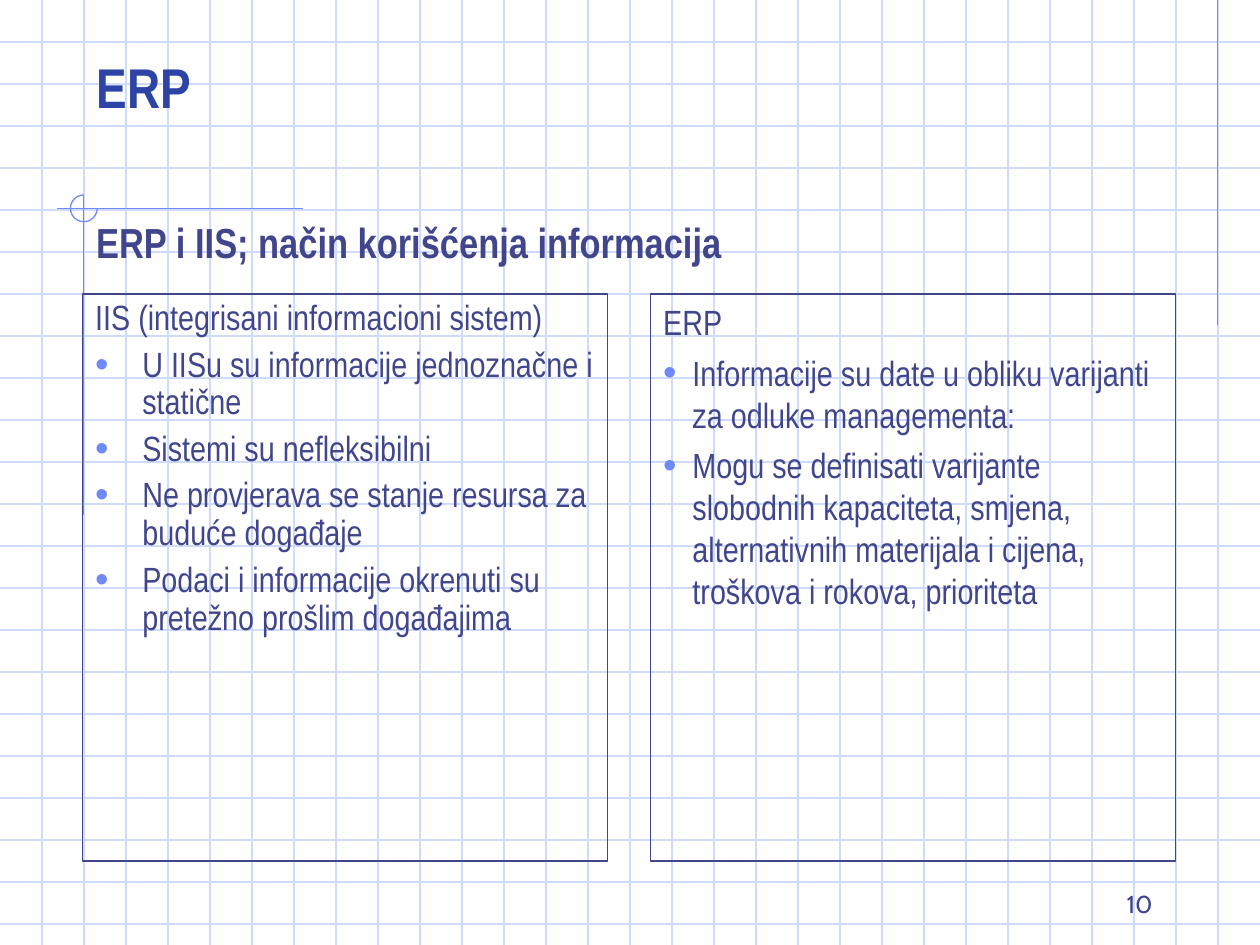
from dataclasses import dataclass

from lxml import etree
from pptx import Presentation
from pptx.dml.color import RGBColor
from pptx.enum.shapes import MSO_CONNECTOR, MSO_SHAPE
from pptx.enum.text import MSO_ANCHOR, MSO_AUTO_SIZE, PP_ALIGN
from pptx.oxml.ns import qn
from pptx.util import Cm, Pt

LINE = MSO_CONNECTOR.STRAIGHT
RECT, ARC = MSO_SHAPE.RECTANGLE, MSO_SHAPE.ARC
TOP, BOTTOM = MSO_ANCHOR.TOP, MSO_ANCHOR.BOTTOM
LEFT, RIGHT = PP_ALIGN.LEFT, PP_ALIGN.RIGHT
FIXED = MSO_AUTO_SIZE.NONE

WIDE, HIGH = 25.4, 19.05
STEP = WIDE / 30


@dataclass(frozen=True)
class Theme:
    grid: str = "CFDBFD"
    accent: str = "6F89F7"
    head: str = "2D44A4"
    ink: str = "40458C"
    face: str = "Arial Narrow"
    num_face: str = "Cabin"
    head_size: int = 32
    sub_size: int = 24
    body_size: int = 20
    num_size: int = 14
    stroke: float = 0.75


def color(code):
    return RGBColor.from_string(code)


class Page:
    def __init__(self, slide, theme):
        self.slide = slide
        self.theme = theme

    def pen(self, shape, code):
        shape.line.color.rgb = color(code)
        shape.line.width = Pt(self.theme.stroke)

    def rule(self, x1, y1, x2, y2, code):
        line = self.slide.shapes.add_connector(
            LINE, Cm(x1), Cm(y1), Cm(x2), Cm(y2))
        self.pen(line, code)
        etree.SubElement(line.element.spPr, qn("a:effectLst"))

    def grid(self):
        for row in range(1, int(HIGH / STEP) + 1):
            self.rule(0, row * STEP, WIDE, row * STEP, self.theme.grid)
        for col in range(1, 30):
            self.rule(col * STEP, 0, col * STEP, HIGH, self.theme.grid)

    def outline(self, kind, x, y, w, h, code):
        shape = self.slide.shapes.add_shape(kind, Cm(x), Cm(y), Cm(w), Cm(h))
        shape.shadow.inherit = False
        shape.fill.background()
        self.pen(shape, code)
        return shape

    def arc(self, x, y, size):
        """Draw three quarters of a circle, open at the top right."""
        shape = self.outline(ARC, x, y, size, size, self.theme.accent)
        shape.adjustments[0] = 0
        shape.adjustments[1] = 162

    def style(self, para, size, code, face, bold=False, align=LEFT):
        para.alignment = align
        for run in para.runs:
            font = run.font
            font.size, font.name, font.bold = Pt(size), face, bold
            font.color.rgb = color(code)

    def frame(self, shape, anchor):
        frame = shape.text_frame
        frame.word_wrap = True
        frame.auto_size = FIXED
        frame.vertical_anchor = anchor
        return frame

    def title(self, text, x, y, w, h):
        shape = self.slide.shapes.title
        shape.left, shape.top = Cm(x), Cm(y)
        shape.width, shape.height = Cm(w), Cm(h)
        # Bring the title in front of the grid.
        shape.element.getparent().append(shape.element)
        frame = self.frame(shape, BOTTOM)
        frame.text = text
        look = self.theme
        self.style(frame.paragraphs[0], look.head_size, look.head,
                   look.face, True)

    def label(self, text, x, y, w, h, size, face,
              bold=False, align=LEFT, anchor=TOP):
        box = self.slide.shapes.add_textbox(Cm(x), Cm(y), Cm(w), Cm(h))
        frame = self.frame(box, anchor)
        frame.text = text
        self.style(frame.paragraphs[0], size, self.theme.ink, face,
                   bold, align)

    def bullet(self, para, indent):
        props = para._p.get_or_add_pPr()
        props.set("marL", str(Cm(indent)))
        props.set("indent", str(-Cm(indent)))
        tint = etree.SubElement(props, qn("a:buClr"))
        etree.SubElement(tint, qn("a:srgbClr"), val=self.theme.accent)
        etree.SubElement(props, qn("a:buSzPct"), val="110000")
        etree.SubElement(props, qn("a:buFont"), typeface="Arial")
        etree.SubElement(props, qn("a:buChar"), char="•")

    def panel(self, head, items, x, y, w, h, indent, spacing):
        look = self.theme
        shape = self.outline(RECT, x, y, w, h, look.ink)
        frame = self.frame(shape, TOP)
        frame.text = "\n".join([head, *items])
        for spot, para in enumerate(frame.paragraphs):
            if spot:
                self.bullet(para, indent)
                para.space_before = Pt(5)
            para.line_spacing = spacing
            self.style(para, look.body_size, look.ink, look.face)


def main():
    deck = Presentation()
    deck.slide_width, deck.slide_height = Cm(WIDE), Cm(HIGH)
    look = Theme()
    page = Page(deck.slides.add_slide(deck.slide_layouts[5]), look)

    page.grid()
    page.rule(24.55, 0, 24.55, 6.55, look.accent)
    page.rule(6.1, 4.21, 1.14, 4.21, look.accent)
    page.rule(1.69, 3.93, 1.69, 10.39, look.accent)
    page.arc(1.42, 3.93, 0.54)

    page.title("ERP", 1.69, 0.85, 21.59, 1.69)
    page.label("10", 18.2, 17.36, 5.29, 1.27, look.num_size, look.num_face,
               align=RIGHT, anchor=BOTTOM)
    page.label("ERP i IIS; način korišćenja informacija",
               1.69, 4.23, 22.86, 2.29, look.sub_size, look.face, bold=True)

    panels = [
        ("IIS (integrisani informacioni sistem)",
         ["U IISu su informacije jednoznačne i statične",
          "Sistemi su nefleksibilni",
          "Ne provjerava se stanje resursa za buduće događaje",
          "Podaci i informacije okrenuti su pretežno prošlim događajima"],
         1.67, 0.95, 0.9),
        ("ERP",
         ["Informacije su date u obliku varijanti za odluke managementa:",
          "Mogu se definisati varijante slobodnih kapaciteta, smjena, "
          "alternativnih materijala i cijena, troškova i rokova, prioriteta"],
         13.12, 0.59, 1.0),
    ]
    for head, items, x, indent, spacing in panels:
        page.panel(head, items, x, 5.93, 10.58, 11.43, indent, spacing)

    deck.save("out.pptx")


if __name__ == "__main__":
    main()
